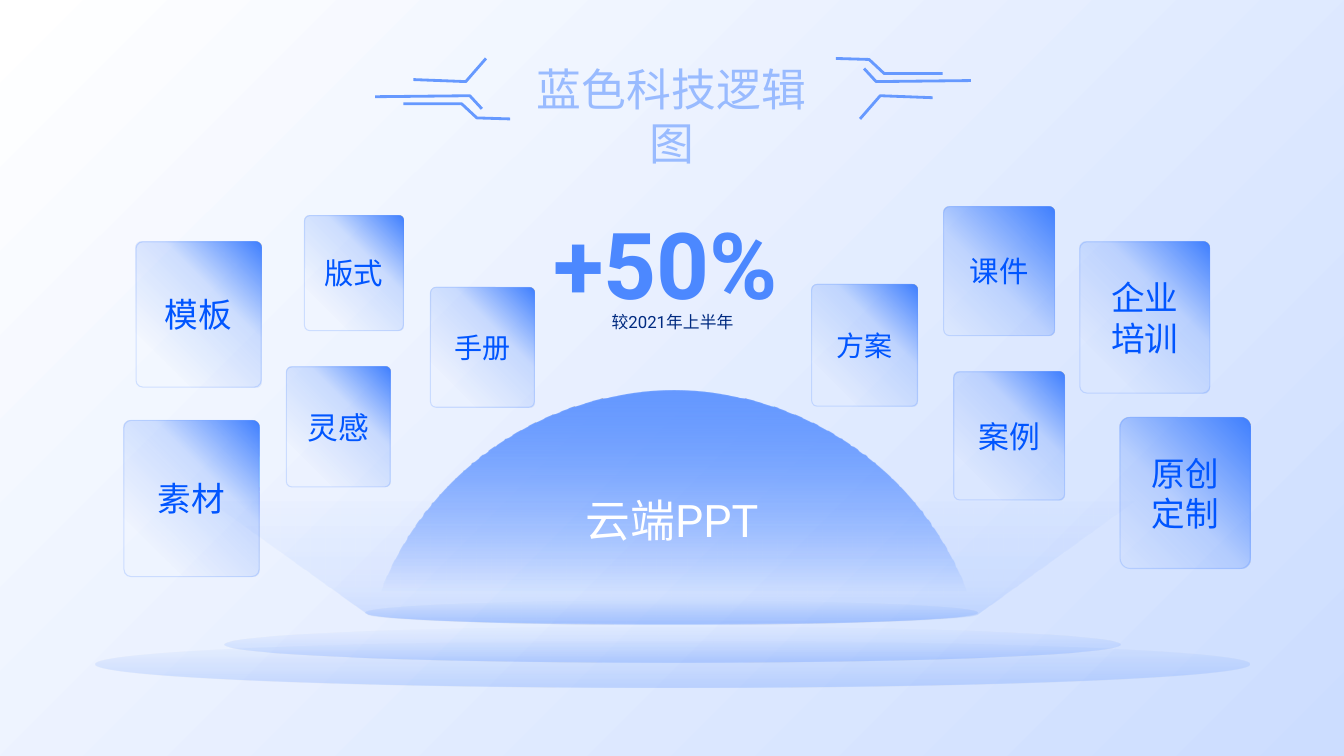
"""Build the blue technology logic slide."""
import math

from lxml import etree
from pptx import Presentation
from pptx import util as u
from pptx.dml import color
from pptx.enum import shapes, text
from pptx.oxml import ns


def rgb(value):
    """Turn a hex string into a colour."""
    return color.RGBColor.from_string(value)


def write(box, words, size=24, tint="0055FF", bold=False, font="Roboto",
          wrap=True, anchor=text.MSO_ANCHOR.TOP, inset=(0.1, 0.05)):
    """Fill a box with centred paragraphs, one for each line of words."""
    frame = box.text_frame
    frame.word_wrap = wrap
    frame.vertical_anchor = anchor
    frame.margin_left = frame.margin_right = u.Inches(inset[0])
    frame.margin_top = frame.margin_bottom = u.Inches(inset[1])
    for index, line in enumerate(words.split("\n")):
        para = frame.add_paragraph() if index else frame.paragraphs[0]
        para.alignment = text.PP_ALIGN.CENTER
        span = para.add_run()
        span.text = line
        span.font.name = font
        span.font.size = u.Pt(size)
        span.font.bold = bold
        span.font.color.rgb = rgb(tint)
        asian = etree.SubElement(span.font._element, ns.qn("a:ea"))
        asian.set("typeface", Painter.asian_font)


class Painter:
    """Hold the style and the current slide."""

    asian_font = "Noto Sans CJK JP"
    blue = "0055FF"
    card_blue = "407FFF"
    line_blue = "6699FF"

    def __init__(self, page):
        """Keep the slide to draw on."""
        self.page = page

    def gradient(self, fill, holder, stops, angle):
        """Set a linear gradient from (position, colour, opacity) stops."""
        fill.gradient()
        fill.gradient_angle = 360 - angle
        stop_list = next(holder.iter(ns.qn("a:gsLst")))
        for old in list(stop_list):
            stop_list.remove(old)
        for position, tint, opacity in stops:
            stop = etree.SubElement(stop_list, ns.qn("a:gs"), pos=str(position * 1000))
            shade = etree.SubElement(stop, ns.qn("a:srgbClr"), val=tint)
            etree.SubElement(shade, ns.qn("a:alpha"), val=str(opacity * 1000))

    def background(self, stops):
        """Colour the slide diagonally."""
        self.gradient(self.page.background.fill, self.page._element, stops, 45)

    def shape(self, kind, place, stops, angle=90):
        """Add a preset shape with a gradient and no outline."""
        item = self.page.shapes.add_shape(kind, *map(u.Inches, place))
        item.shadow.inherit = False
        item.line.fill.background()
        self.gradient(item.fill, item._element, stops, angle)
        return item

    def ellipse(self, place, stops):
        """Add an ellipse."""
        return self.shape(shapes.MSO_SHAPE.OVAL, place, stops)

    def card(self, words, place, size, stops, corner=0.053):
        """Add a labelled card."""
        item = self.shape(shapes.MSO_SHAPE.ROUNDED_RECTANGLE, place, stops, 135)
        item.adjustments[0] = corner
        item.line.color.rgb = rgb(self.card_blue)
        item.line.width = u.Pt(0.75)
        outline = next(item.line._ln.iter(ns.qn("a:srgbClr")))
        etree.SubElement(outline, ns.qn("a:alpha"), val="20000")
        write(item, words, size=size, wrap=False, anchor=text.MSO_ANCHOR.MIDDLE)

    def outline(self, points, close=False):
        """Add a freeform through the points."""
        start, *rest = [(u.Inches(x), u.Inches(y)) for x, y in points]
        builder = self.page.shapes.build_freeform(*start)
        builder.add_line_segments(rest, close=close)
        item = builder.convert_to_shape()
        item.shadow.inherit = False
        return item

    def circuit(self, points):
        """Add an open circuit line."""
        item = self.outline(points)
        item.fill.background()
        item.line.color.rgb = rgb(self.line_blue)
        item.line.width = u.Pt(2)

    def beam(self, points, stops):
        """Add a closed area of light."""
        item = self.outline(points, close=True)
        item.line.fill.background()
        self.gradient(item.fill, item._element, stops, 90)

    def label(self, words, place, **style):
        """Add a text box."""
        write(self.page.shapes.add_textbox(*map(u.Inches, place)), words, **style)


def main():
    """Draw the slide and save it."""
    deck = Presentation()
    deck.slide_width, deck.slide_height = u.Inches(13.33), u.Inches(7.5)
    painter = Painter(deck.slides.add_slide(deck.slide_layouts[6]))
    blue, card_blue = painter.blue, painter.card_blue
    painter.background([(0, "FFFFFF", 100), (100, "CCDDFF", 100)])

    painter.label("蓝色科技逻辑图", (5.04, 0.57, 3.24, 0.61), size=32, tint="99BBFF",
                  font=painter.asian_font, inset=(0.07, 0.04))
    circuits = [
        [(8.29, 0.58), (8.62, 0.59), (8.77, 0.73), (9.35, 0.73)],
        [(8.57, 0.68), (8.69, 0.81), (9.63, 0.8)],
        [(8.53, 1.18), (8.73, 0.95), (9.25, 0.97)],
    ]
    for points in circuits:
        painter.circuit(points)
        painter.circuit([(13.35 - x, 1.76 - y) for x, y in points])

    for place in [(0.95, 6.36, 11.44, 0.46), (2.23, 6.22, 8.88, 0.35),
                  (3.63, 5.96, 6.06, 0.24)]:
        painter.ellipse(place, [(0, blue, 0), (99, blue, 16)])
    rim = [(6.67 + 3.03 * math.cos(math.radians(turn)),
            6.09 + 0.1 * math.sin(math.radians(turn))) for turn in range(0, 181, 5)]
    painter.beam([(2.04, 4.95), (11.29, 4.95), *rim],
                 [(0, blue, 0), (74, blue, 6), (100, blue, 14)])
    painter.ellipse((3.57, 3.88, 6.22, 6.22),
                    [(0, painter.line_blue, 100), (32, blue, 0)])

    faded = [(0, card_blue, 100), (36, card_blue, 21), (80, card_blue, 0)]
    full = [(0, card_blue, 100), (56, card_blue, 21), (100, card_blue, 0)]
    cards = [
        ("模板", (1.35, 2.4, 1.24, 1.44), 24, faded),
        ("灵感", (2.84, 3.64, 1.03, 1.19), 22, faded),
        ("版式", (3.02, 2.14, 0.98, 1.14), 21, faded),
        ("手册", (4.27, 2.85, 1.03, 1.19), 20, faded),
        ("方案", (8.05, 2.82, 1.05, 1.21), 20, faded),
        ("课件", (9.36, 2.05, 1.1, 1.28), 21, full),
        ("案例", (9.46, 3.69, 1.1, 1.27), 22, faded),
        ("企业\n培训", (10.71, 2.4, 1.29, 1.5), 24, faded),
        ("原创\n定制", (11.11, 4.14, 1.29, 1.5), 24, full, 0.078),
        ("素材", (1.23, 4.17, 1.34, 1.55), 24, faded),
    ]
    for card in cards:
        painter.card(*card)

    painter.label("云端PPT", (5.68, 4.84, 1.97, 0.64), size=32, tint="FFFFFF")
    painter.label("较2021年上半年", (5.96, 3.04, 1.42, 0.3), size=12, tint="002A80")
    painter.label("+50%", (5.24, 2.01, 2.73, 1.21), size=66, tint="4C88FF", bold=True)
    deck.save("out.pptx")


if __name__ == "__main__":
    main()
